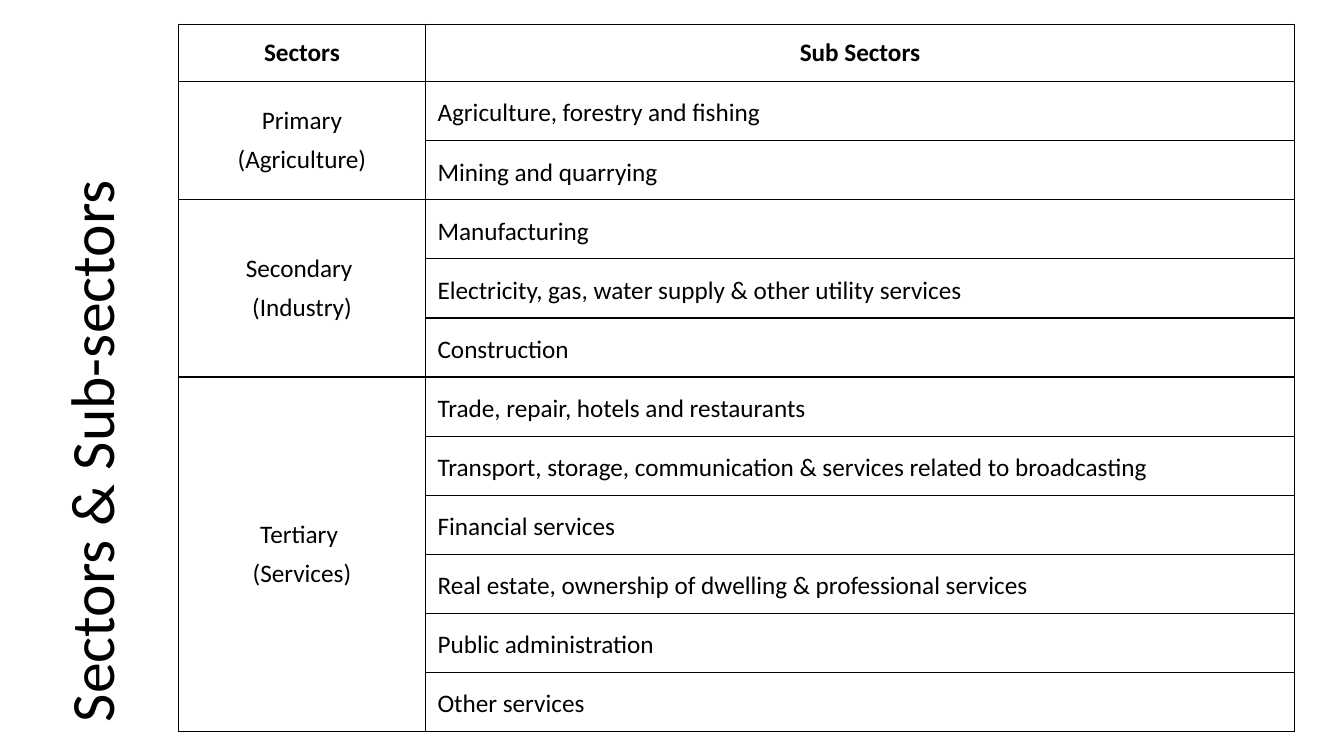
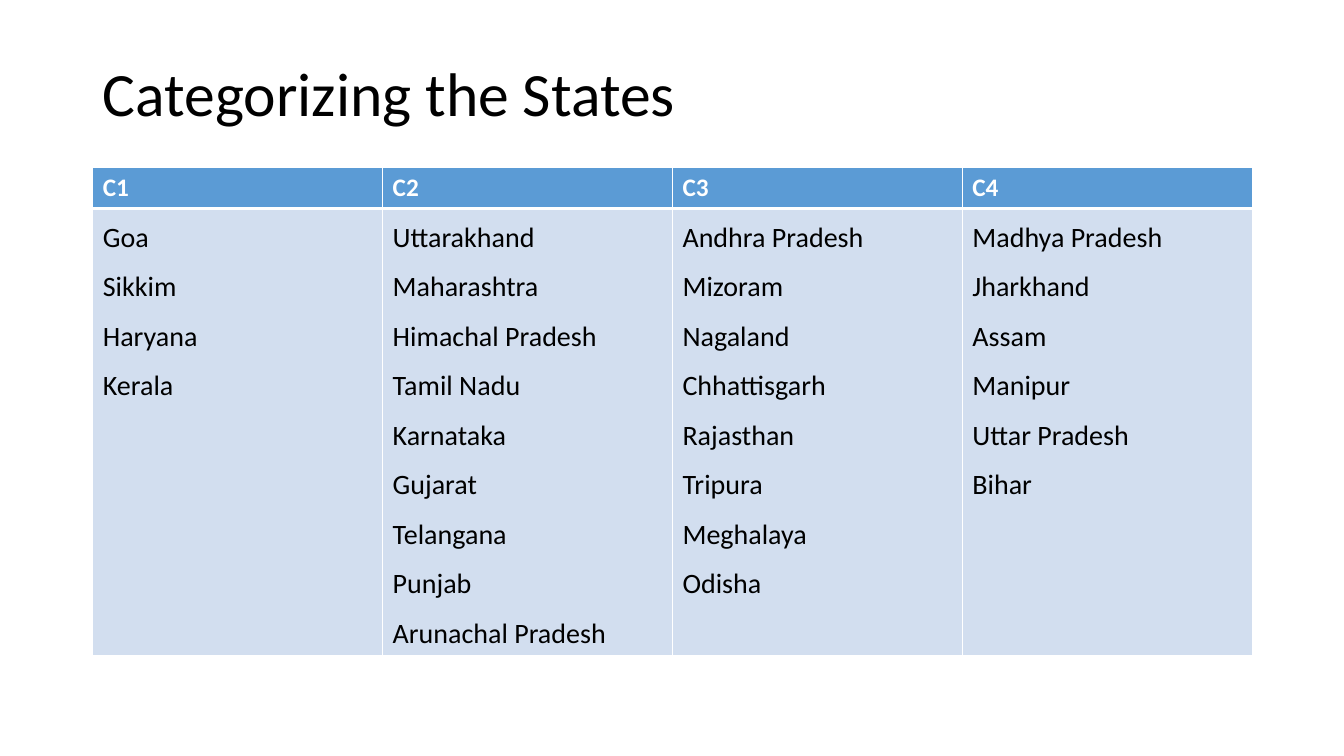
"""Build two slides on economic sectors and the grouping of states."""
from lxml import etree
from pptx import Presentation
from pptx import util as u
from pptx.dml import color
from pptx.enum import text
from pptx.oxml import ns

COLORS = {"ink": "000000", "paper": "FFFFFF", "header": "5B9BD5", "body": "D2DEEF"}
FONT = "Calibri"

SECTORS = {
    ("Primary", "(Agriculture)"): [
        "Agriculture, forestry and fishing",
        "Mining and quarrying",
    ],
    ("Secondary ", "(Industry)"): [
        "Manufacturing",
        "Electricity, gas, water supply & other utility services",
        "Construction",
    ],
    ("Tertiary ", "(Services)"): [
        "Trade, repair, hotels and restaurants",
        "Transport, storage, communication & services related to broadcasting",
        "Financial services",
        "Real estate, ownership of dwelling & professional services",
        "Public administration",
        "Other services",
    ],
}

STATES = {
    "C1": ["Goa", "Sikkim", "Haryana", "Kerala"],
    "C2": ["Uttarakhand", "Maharashtra", "Himachal Pradesh", "Tamil Nadu", "Karnataka",
           "Gujarat", "Telangana", "Punjab", "Arunachal Pradesh"],
    "C3": ["Andhra Pradesh", "Mizoram", "Nagaland", "Chhattisgarh", "Rajasthan",
           "Tripura", "Meghalaya", "Odisha"],
    "C4": ["Madhya Pradesh", "Jharkhand", "Assam", "Manipur", "Uttar Pradesh", "Bihar"],
}


class Deck:
    """Hold the shared style and the current slide."""

    def __init__(self):
        self.prs = Presentation()
        self.prs.slide_width = u.Inches(13.33)
        self.prs.slide_height = u.Inches(7.5)
        self.slide = None

    def add_slide(self, title, left, top, width, height, rotation=0):
        """Start a title-only slide and place its title."""
        self.slide = self.prs.slides.add_slide(self.prs.slide_layouts[5])
        heading = self.slide.shapes.title
        heading.left, heading.top = u.Inches(left), u.Inches(top)
        heading.width, heading.height = u.Inches(width), u.Inches(height)
        heading.rotation = rotation
        frame = heading.text_frame
        frame.text = title
        frame.word_wrap = True
        frame.auto_size = text.MSO_AUTO_SIZE.NONE
        frame.vertical_anchor = text.MSO_ANCHOR.MIDDLE
        self.style(frame, 44, spacing=0.9)

    def style(self, frame, size, ink="ink", bold=False, align="LEFT", gap=0, spacing=1.0):
        """Format every paragraph of a text frame."""
        for paragraph in frame.paragraphs:
            paragraph.alignment = text.PP_ALIGN[align]
            paragraph.line_spacing = spacing
            paragraph.space_before = paragraph.space_after = u.Pt(gap)
            for run in paragraph.runs:
                run.font.name = FONT
                run.font.size = u.Pt(size)
                run.font.bold = bold
                run.font.color.rgb = color.RGBColor.from_string(COLORS[ink])

    def table(self, left, top, widths, heights):
        """Add a plain table with the given column widths and row heights."""
        grid = self.slide.shapes.add_table(
            len(heights), len(widths), u.Inches(left), u.Inches(top),
            u.Inches(sum(widths)), u.Inches(sum(heights))).table
        grid.first_row = grid.horz_banding = False
        for column, width in zip(grid.columns, widths):
            column.width = u.Inches(width)
        for row, height in zip(grid.rows, heights):
            row.height = u.Inches(height)
        return grid

    def borders(self, cell, line, top=1, bottom=1):
        """Draw the four edges of a cell, with widths in points."""
        props = cell._tc.get_or_add_tcPr()
        for edge, points in (("L", 1), ("R", 1), ("T", top), ("B", bottom)):
            ln = etree.SubElement(props, ns.qn(f"a:ln{edge}"), w=str(u.Pt(points)))
            fill = etree.SubElement(ln, ns.qn("a:solidFill"))
            etree.SubElement(fill, ns.qn("a:srgbClr"), val=COLORS[line])

    def paint(self, cell, fill=None):
        """Fill a cell with a named colour or leave it clear."""
        if fill:
            cell.fill.solid()
            cell.fill.fore_color.rgb = color.RGBColor.from_string(COLORS[fill])
        else:
            cell.fill.background()

    def cell_text(self, cell, lines, anchor="TOP", inset=None, **style):
        """Set the lines of a cell as paragraphs."""
        cell.text_frame.text = "\n".join(lines)
        cell.vertical_anchor = text.MSO_ANCHOR[anchor]
        if inset:
            cell.margin_left = cell.margin_right = u.Inches(inset)
            cell.margin_top = cell.margin_bottom = u.Inches(inset)
        self.style(cell.text_frame, **style)


def sectors_slide(deck):
    """Show the sub-sectors that make up each sector."""
    deck.add_slide("Sectors & Sub-sectors", -2.57, 3.2, 7.02, 1.11, rotation=270)
    count = sum(len(names) for names in SECTORS.values())
    grid = deck.table(1.77, 0.24, [2.45, 8.62], [0.57] + [6.45 / count] * count)
    for cell in grid.iter_cells():
        deck.borders(cell, "ink")
        deck.paint(cell)
    for column, header in enumerate(("Sectors", "Sub Sectors")):
        deck.cell_text(grid.cell(0, column), [header], "MIDDLE",
                       size=18, bold=True, align="CENTER", gap=6)
    first = 1
    for sector, names in SECTORS.items():
        group = grid.cell(first, 0)
        group.merge(grid.cell(first + len(names) - 1, 0))
        deck.cell_text(group, sector, "MIDDLE", size=18, align="CENTER", gap=3)
        for row, name in enumerate(names, first):
            deck.cell_text(grid.cell(row, 1), [name], "BOTTOM", inset=0.12, size=18, gap=3)
        first += len(names)


def states_slide(deck):
    """List the states in each category."""
    deck.add_slide("Categorizing the States", 0.92, 0.4, 11.5, 1.11)
    grid = deck.table(0.92, 1.66, [11.5 / len(STATES)] * len(STATES), [0.41, 4.34])
    for column, (category, states) in enumerate(STATES.items()):
        header, body = grid.cell(0, column), grid.cell(1, column)
        deck.borders(header, "paper", bottom=3)
        deck.paint(header, "header")
        deck.cell_text(header, [category], size=18, ink="paper", bold=True)
        deck.borders(body, "paper", top=3)
        deck.paint(body, "body")
        deck.cell_text(body, states, size=20, gap=3, spacing=1.2)


def main():
    """Build and save the deck."""
    deck = Deck()
    sectors_slide(deck)
    states_slide(deck)
    deck.prs.save("out.pptx")


if __name__ == "__main__":
    main()
